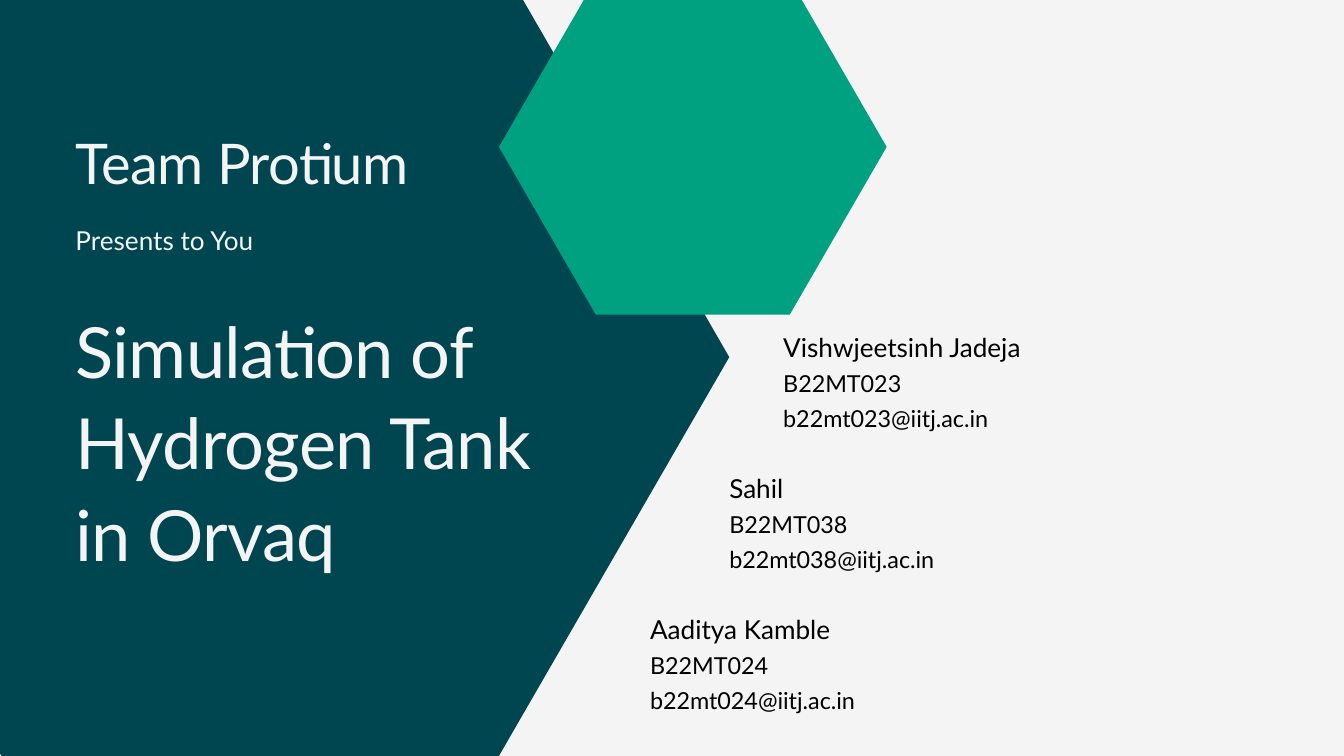
import pptx
import pptx.dml.color
import pptx.enum.shapes
import pptx.enum.text
import pptx.util

Cm, Pt = pptx.util.Cm, pptx.util.Pt
RGBColor = pptx.dml.color.RGBColor

PAPER = RGBColor(0xF4, 0xF4, 0xF4)
TEAL = RGBColor(0x00, 0x46, 0x51)
GREEN = RGBColor(0x00, 0xA1, 0x81)
BLACK = RGBColor(0x00, 0x00, 0x00)

# Each style: font size, line height and letter spacing, all in points
HEADLINE = (53.7, 69.8, -0.5)
TEAM = (42.7, 55.5, -0.4)
LEAD = (19.9, 27.9, 0)
DETAIL = (17.8, 24.9, 0)

CONTACTS = [
    (21.05, "Vishwjeetsinh Jadeja", "B22MT023", "b22mt023@iitj.ac.in"),
    (19.6, "Sahil", "B22MT038", "b22mt038@iitj.ac.in"),
    (17.47, "Aaditya Kamble", "B22MT024", "b22mt024@iitj.ac.in"),
]
CONTACT_TOP, CONTACT_PITCH = 8.76, 3.79


def add_hexagon(s, left, top, width, height, color):
    """Hexagon whose flat sides are half as long as the shape is wide."""
    sp = s.shapes.add_shape(pptx.enum.shapes.MSO_SHAPE.HEXAGON,
                            Cm(left), Cm(top), Cm(width), Cm(height))
    sp.adjustments[0] = width / height / 4
    sp.shadow.inherit = False
    sp.fill.solid()
    sp.fill.fore_color.rgb = color
    sp.line.fill.background()


def add_text(s, left, top, width, height, text, style, color):
    size, leading, tracking = style
    tf = s.shapes.add_textbox(Cm(left), Cm(top), Cm(width), Cm(height)).text_frame
    frame_format = {"word_wrap": True, "margin_left": 0, "margin_top": 0,
                    "margin_right": 0, "margin_bottom": 0,
                    "auto_size": pptx.enum.text.MSO_AUTO_SIZE.NONE}
    for name, value in frame_format.items():
        setattr(tf, name, value)
    p = tf.paragraphs[0]
    p.line_spacing = Pt(leading)
    r = p.add_run()
    r.text = text
    for name, value in {"name": "Lato", "size": Pt(size)}.items():
        setattr(r.font, name, value)
    r.font.color.rgb = color
    if tracking:
        r._r.get_or_add_rPr().set("spc", str(round(tracking * 100)))


def add_title_block(s, left, top, width):
    add_text(s, left, top, width, 1.9, "Team Protium", TEAM, PAPER)
    add_text(s, left, top + 2.59, width, 0.91, "Presents to You", LEAD, PAPER)
    add_text(s, left, top + 4.78, width, 7.29,
             "Simulation of Hydrogen Tank in Orvaq", HEADLINE, PAPER)


def add_contact(s, left, top, width, name, roll_number, email):
    add_text(s, left, top, width, 0.91, name, LEAD, BLACK)
    add_text(s, left, top + 1.04, width, 0.81, roll_number, DETAIL, BLACK)
    add_text(s, left, top + 1.99, width, 0.81, email, DETAIL, BLACK)


def main():
    prs = pptx.Presentation()
    prs.slide_width, prs.slide_height = Cm(36.12), Cm(20.32)
    s = prs.slides.add_slide(prs.slide_layouts[6])
    s.background.fill.solid()
    s.background.fill.fore_color.rgb = PAPER

    add_hexagon(s, -6.15, -1.55, 25.75, 22.3, TEAL)
    add_hexagon(s, 13.41, -0.56, 10.42, 9.02, GREEN)
    add_title_block(s, 2.03, 3.3, 12.7)
    for i, (left, *lines) in enumerate(CONTACTS):
        add_contact(s, left, CONTACT_TOP + i * CONTACT_PITCH, 8.86, *lines)

    prs.save("out.pptx")


if __name__ == "__main__":
    main()
